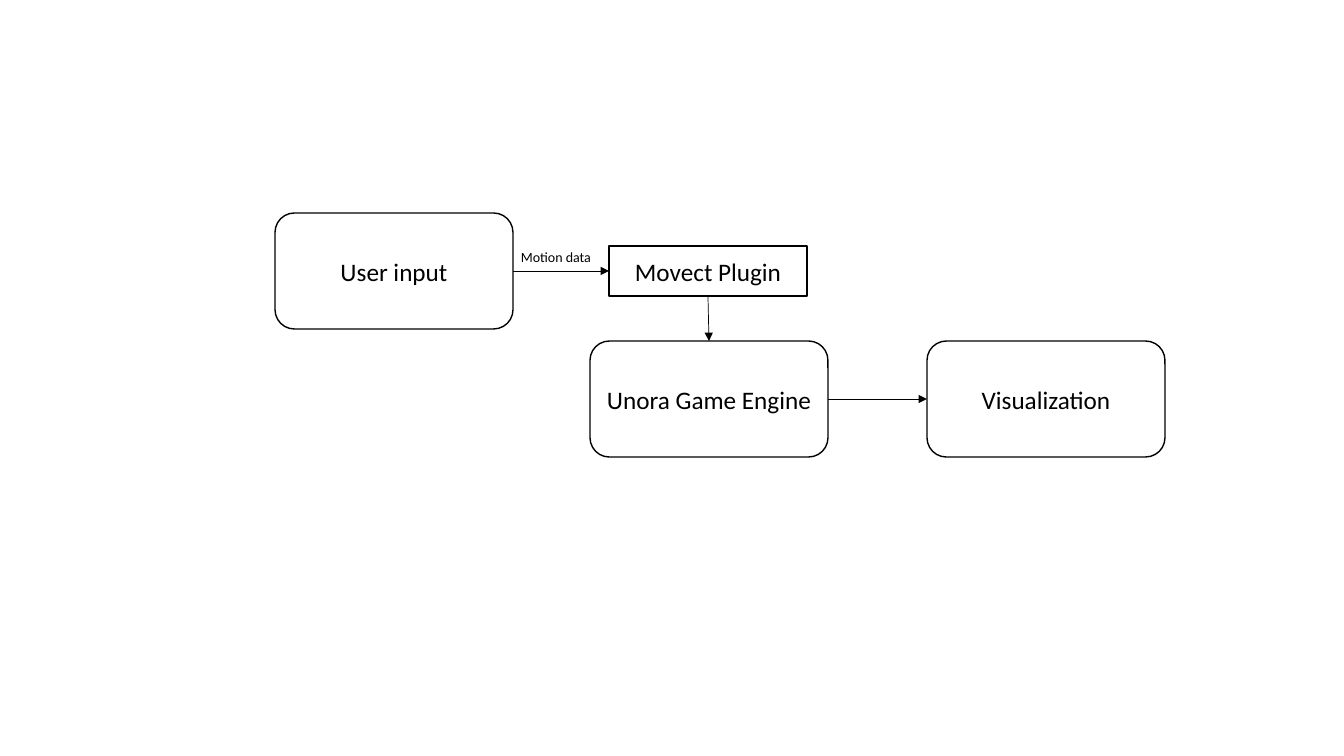
"""Build a flow diagram from user input to visualization."""
import pptx
import pptx.dml.color
import pptx.enum.shapes
import pptx.enum.text
import pptx.oxml.ns
import pptx.util
from lxml import etree

PX = 12192000 / 1344
BLACK = pptx.dml.color.RGBColor(0, 0, 0)
WHITE = pptx.dml.color.RGBColor(255, 255, 255)
THEME = {"font": "Calibri", "ink": BLACK, "paper": WHITE,
         "body": 18, "note": 10, "edge": 1, "arrow": 0.5}
KIND = pptx.enum.shapes.MSO_SHAPE
ALIGN = pptx.enum.text.PP_ALIGN


def px(*vals):
    return [pptx.util.Emu(round(val * PX)) for val in vals]


def write(shape, text, size, align):
    frame = shape.text_frame
    frame.word_wrap = True
    frame.text = text
    para = frame.paragraphs[0]
    para.alignment = align
    font = para.runs[0].font
    font.name = THEME["font"]
    font.size = pptx.util.Pt(size)
    font.color.rgb = THEME["ink"]


deck = pptx.Presentation()
deck.slide_width, deck.slide_height = px(1344, 756)
slide = deck.slides.add_slide(deck.slide_layouts[6])

STEPS = [
    ("input", "User input", KIND.ROUNDED_RECTANGLE, 275, 213, 238, 116),
    ("engine", "Unora Game Engine", KIND.ROUNDED_RECTANGLE, 590, 341, 238, 116),
    ("plugin", "Movect Plugin", KIND.RECTANGLE, 609, 246, 198, 50),
    ("view", "Visualization", KIND.ROUNDED_RECTANGLE, 927, 341, 238, 116),
]
boxes = {}
for key, text, kind, *place in STEPS:
    box = slide.shapes.add_shape(kind, *px(*place))
    box.shadow.inherit = False
    box.fill.solid()
    box.fill.fore_color.rgb = THEME["paper"]
    box.line.color.rgb = THEME["ink"]
    box.line.width = pptx.util.Pt(THEME["edge"])
    box.text_frame.vertical_anchor = pptx.enum.text.MSO_ANCHOR.MIDDLE
    write(box, text, THEME["body"], ALIGN.CENTER)
    boxes[key] = box

TOP, LEFT, BOTTOM, RIGHT = range(4)
LINKS = [
    ("input", RIGHT, "plugin", LEFT),
    ("plugin", BOTTOM, "engine", TOP),
    ("engine", RIGHT, "view", LEFT),
]
for start, exit_side, end, entry_side in LINKS:
    link = slide.shapes.add_connector(
        pptx.enum.shapes.MSO_CONNECTOR.STRAIGHT, 0, 0, 0, 0)
    link.begin_connect(boxes[start], exit_side)
    link.end_connect(boxes[end], entry_side)
    link.line.color.rgb = THEME["ink"]
    link.line.width = pptx.util.Pt(THEME["arrow"])
    etree.SubElement(link.line._get_or_add_ln(),
                     pptx.oxml.ns.qn("a:tailEnd"), type="triangle")
    etree.SubElement(link._element.spPr, pptx.oxml.ns.qn("a:effectLst"))

label = slide.shapes.add_textbox(*px(511, 244, 98, 27))
write(label, "Motion data", THEME["note"], ALIGN.LEFT)

deck.save("out.pptx")
